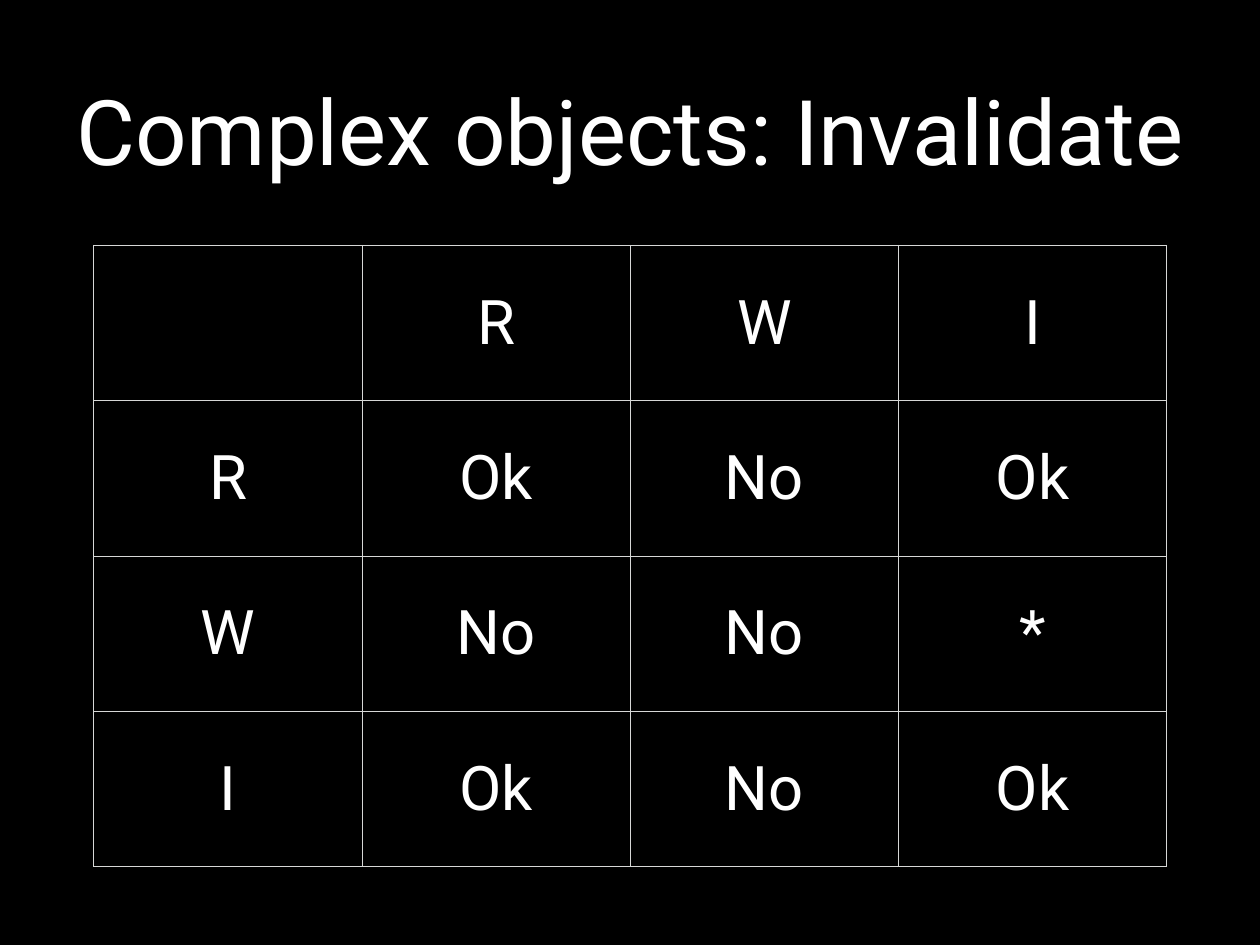
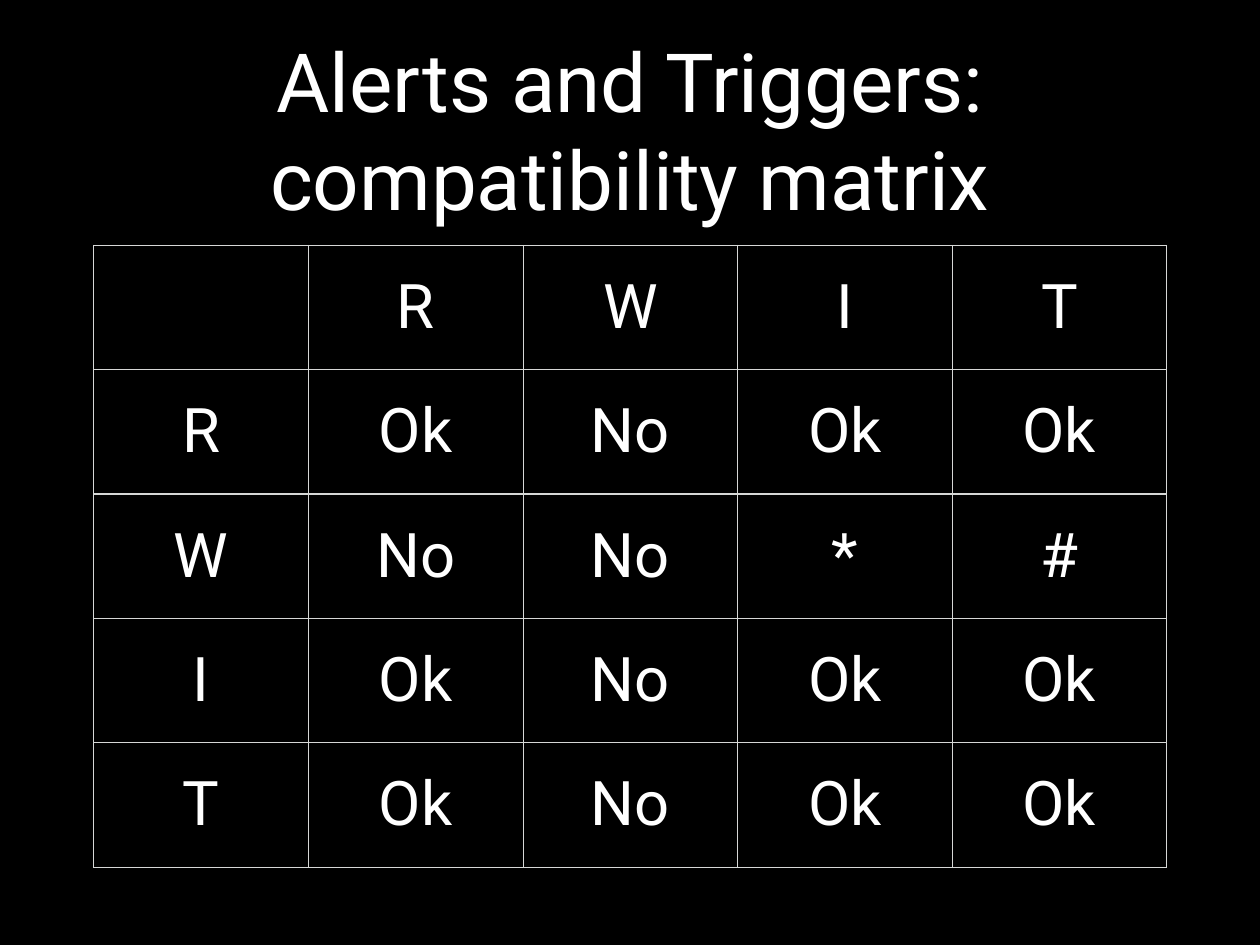
from dataclasses import dataclass

from lxml.etree import SubElement
from pptx import Presentation
from pptx.dml.color import RGBColor
from pptx.enum.text import MSO_ANCHOR, PP_ALIGN
from pptx.oxml.ns import qn
from pptx.presentation import Presentation as Deck
from pptx.slide import Slide
from pptx.table import _Cell
from pptx.text.text import _Paragraph
from pptx.util import Inches, Pt

BLACK = RGBColor(0x00, 0x00, 0x00)
WHITE = RGBColor(0xFF, 0xFF, 0xFF)
GRID = RGBColor(0xD6, 0xD7, 0xD6)
FONT = "Roboto"
CELL_SIZE = 50
INSET = Inches(0.06)
SLIDE_WIDTH, SLIDE_HEIGHT = 14.22, 10.67
TITLE_TOP, TITLE_HEIGHT = 0.28, 2.36
TABLE_BOX = (1.06, 2.77, 12.11, 7.02)


@dataclass(frozen=True)
class MatrixSlide:
    """A titled lock compatibility matrix; its modes head rows and columns."""

    title: str
    title_size: float
    title_width: float
    modes: str
    entries: tuple[str, ...]

    def rows(self) -> list[list[str]]:
        """Return the full grid of cell texts, headings included."""
        body = [[mode, *line.split()] for mode, line in zip(self.modes, self.entries)]
        return [["", *self.modes], *body]


SLIDES = (
    MatrixSlide(
        "Complex objects: Invalidate", 73.6, 13.3, "RWI",
        ("Ok No Ok", "No No *", "Ok No Ok"),
    ),
    MatrixSlide(
        "Alerts and Triggers: compatibility matrix", 66.4, 12.14, "RWIT",
        ("Ok No Ok Ok", "No No * #", "Ok No Ok Ok", "Ok No Ok Ok"),
    ),
)


def style_paragraph(p: _Paragraph, size: float) -> None:
    """Centre a paragraph and set its runs in the deck's white type."""
    p.alignment = PP_ALIGN.CENTER
    for r in p.runs:
        r.font.name = FONT
        r.font.size = Pt(size)
        r.font.color.rgb = WHITE


def set_insets(box: object) -> None:
    """Give a text frame or cell the same small margin on all sides."""
    for side in ("left", "right", "top", "bottom"):
        setattr(box, f"margin_{side}", INSET)


def add_title(s: Slide, title: str, size: float, width: float) -> None:
    """Add a title centred on the slide."""
    left = (SLIDE_WIDTH - width) / 2
    sp = s.shapes.add_textbox(
        Inches(left), Inches(TITLE_TOP), Inches(width), Inches(TITLE_HEIGHT)
    )
    tf = sp.text_frame
    tf.word_wrap = True
    tf.vertical_anchor = MSO_ANCHOR.MIDDLE
    set_insets(tf)
    tf.text = title
    style_paragraph(tf.paragraphs[0], size)


def add_borders(cell: _Cell) -> None:
    """Draw a thin grid line on each side of a cell."""
    props = cell._tc.get_or_add_tcPr()
    for tag in ("a:lnL", "a:lnR", "a:lnT", "a:lnB"):
        line = SubElement(props, qn(tag), w=str(Pt(1)))
        fill = SubElement(line, qn("a:solidFill"))
        SubElement(fill, qn("a:srgbClr"), val=str(GRID))


def fill_cell(cell: _Cell, text: str) -> None:
    """Style a cell and write its matrix entry, if it has one."""
    add_borders(cell)
    cell.fill.solid()
    cell.fill.fore_color.rgb = BLACK
    if text:
        cell.text = text
        cell.vertical_anchor = MSO_ANCHOR.MIDDLE
        set_insets(cell)
        style_paragraph(cell.text_frame.paragraphs[0], CELL_SIZE)


def add_matrix(s: Slide, rows: list[list[str]]) -> None:
    """Add a matrix with equal rows and columns."""
    box = map(Inches, TABLE_BOX)
    table = s.shapes.add_table(len(rows), len(rows[0]), *box).table
    table.first_row = False
    table.horz_banding = False
    for i, row in enumerate(rows):
        for j, text in enumerate(row):
            fill_cell(table.cell(i, j), text)


def add_matrix_slide(prs: Deck, matrix: MatrixSlide) -> None:
    """Add a black slide with a matrix and its title."""
    s = prs.slides.add_slide(prs.slide_layouts[6])
    s.background.fill.solid()
    s.background.fill.fore_color.rgb = BLACK
    add_matrix(s, matrix.rows())
    add_title(s, matrix.title, matrix.title_size, matrix.title_width)


def main() -> None:
    """Build and save the deck."""
    prs = Presentation()
    prs.slide_width = Inches(SLIDE_WIDTH)
    prs.slide_height = Inches(SLIDE_HEIGHT)
    for matrix in SLIDES:
        add_matrix_slide(prs, matrix)
    prs.save("out.pptx")


main()
